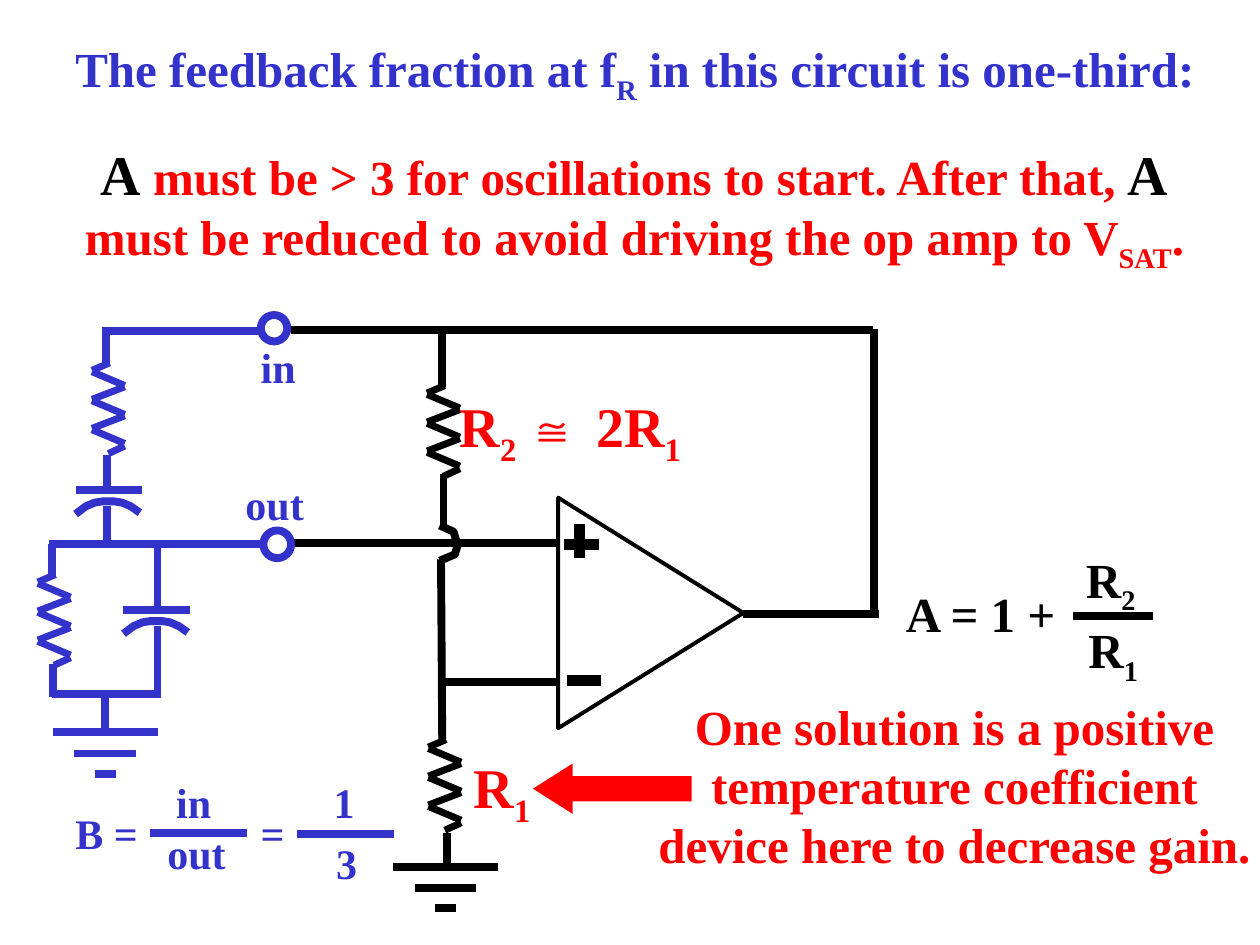
"""Build the slide on the feedback fraction of an oscillator circuit."""
from dataclasses import dataclass

from lxml.etree import SubElement
from pptx import Presentation
from pptx.dml.color import RGBColor
from pptx.enum.shapes import MSO_CONNECTOR, MSO_SHAPE as Shape
from pptx.enum.text import MSO_AUTO_SIZE as AutoSize, PP_ALIGN as Align
from pptx.oxml.ns import qn
from pptx.util import Pt

SCALE = 9144
BLACK, BLUE, RED = "000000", "3333CC", "FF0000"
WIRE, ZIGZAG, SIGN = 4.5, 4, 6


def color(value):
    return RGBColor.from_string(value)


@dataclass
class Run:
    text: str
    size: int = 0
    ink: str = ""
    font: str = "Times New Roman"
    subscript: bool = False


def sub(text):
    return Run(text, subscript=True)


@dataclass
class CircuitSlide:
    slide: object
    ink: str = BLACK
    size: int = 28

    def line(self, x1, y1, x2, y2, width=WIRE):
        ends = [value * SCALE for value in (x1, y1, x2, y2)]
        connector = self.slide.shapes.add_connector(MSO_CONNECTOR.STRAIGHT, *ends)
        connector.line.color.rgb = color(self.ink)
        connector.line.width = Pt(width)
        SubElement(connector._element.spPr, qn("a:effectLst"))

    def lines(self, segments):
        for segment in segments:
            self.line(*segment)

    def outline(self, shape, width):
        shape.shadow.inherit = False
        shape.fill.background()
        shape.line.color.rgb = color(self.ink)
        shape.line.width = Pt(width)

    def polyline(self, points):
        builder = self.slide.shapes.build_freeform(*points[0], scale=SCALE)
        builder.add_line_segments(points[1:], close=False)
        self.outline(builder.convert_to_shape(), WIRE)

    def shape(self, kind, left, top, width, height):
        box = [value * SCALE for value in (left, top, width, height)]
        return self.slide.shapes.add_shape(kind, *box)

    def terminal(self, left, top, diameter):
        self.outline(self.shape(Shape.OVAL, left, top, diameter, diameter), WIRE)

    def amplifier(self, left, top, width, height):
        triangle = self.shape(Shape.ISOSCELES_TRIANGLE, left, top, width, height)
        triangle.rotation = 90
        self.outline(triangle, 2.25)

    def arrow(self, left, top, width, height):
        arrow = self.shape(Shape.LEFT_ARROW, left, top, width, height)
        arrow.adjustments[1] = 0.79
        arrow.shadow.inherit = False
        arrow.fill.solid()
        arrow.fill.fore_color.rgb = color(self.ink)
        arrow.line.fill.background()

    def resistor(self, x, y):
        pitch = 23
        for turn in range(3):
            top = y + turn * pitch
            self.line(x + 27, top + 18, x + 1, top + 7, ZIGZAG)
        for turn in range(2):
            top = y + turn * pitch
            self.line(x + 1, top + 29, x + 27, top + 19, ZIGZAG)
        self.line(x + 1, y + 6, x + 15, y, ZIGZAG)
        self.line(x + 14, y + 72, x + 27, y + 66, ZIGZAG)

    def capacitor(self, x, y):
        self.line(x, y, x + 53, y)
        curve = [(0, 19), (8, 13), (15, 10), (21, 9), (31, 9), (37, 10), (44, 13), (51, 18)]
        self.polyline([(x + dx, y + dy) for dx, dy in curve])

    def ground(self, x, y):
        for inset, drop in ((0, 0), (17, 17), (33, 33)):
            self.line(x + inset, y + drop, x + 83 - inset, y + drop)

    def text(self, left, top, width, height, *paragraphs, align=Align.LEFT):
        box = [value * SCALE for value in (left, top, width, height)]
        frame = self.slide.shapes.add_textbox(*box).text_frame
        frame.word_wrap = False
        frame.auto_size = AutoSize.SHAPE_TO_FIT_TEXT
        for index, parts in enumerate(paragraphs):
            paragraph = frame.add_paragraph() if index else frame.paragraphs[0]
            paragraph.alignment = align
            for part in parts:
                run = paragraph.add_run()
                run.text = part.text
                run.font.name = part.font
                run.font.size = Pt(part.size or self.size)
                run.font.bold = True
                run.font.color.rgb = color(part.ink or self.ink)
                if part.subscript:
                    run.font._element.set("baseline", "-25000")


def draw_amplifier(circuit):
    circuit.ink = BLACK
    circuit.amplifier(425, 413, 183, 147)
    circuit.lines([
        (590, 487, 698, 487), (443, 541, 349, 541), (350, 444, 351, 589),
        (694, 261, 694, 489), (443, 431, 233, 431), (231, 262, 693, 262),
        (355, 661, 355, 688), (351, 307, 351, 264), (352, 376, 352, 420),
        (450, 540, 477, 540, SIGN), (448, 432, 475, 432, SIGN), (460, 443, 460, 416, SIGN),
    ])
    circuit.resistor(339, 587)
    circuit.resistor(338, 306)
    circuit.ground(312, 688)
    circuit.polyline([(364, 430), (361, 440), (349, 445)])
    circuit.polyline([(363, 432), (360, 422), (349, 417)])


def draw_feedback(circuit):
    circuit.ink = BLUE
    circuit.resistor(29, 456)
    circuit.resistor(72, 288)
    circuit.capacitor(60, 389)
    circuit.capacitor(98, 484)
    circuit.ground(42, 581)
    circuit.terminal(207, 250, 21)
    circuit.terminal(209, 421, 22)
    circuit.lines([
        (205, 263, 81, 263), (84, 264, 84, 290), (41, 432, 41, 459), (85, 361, 85, 388),
        (42, 527, 42, 553), (125, 497, 125, 554), (125, 433, 125, 482), (85, 402, 85, 429),
        (39, 432, 209, 432), (83, 552, 83, 579), (41, 551, 125, 551),
    ])


def write_labels(circuit):
    circuit.ink, circuit.size = BLUE, 24
    for left, top, width, label in (
        (197, 266, 48, "in"), (185, 375, 66, "out"), (50, 636, 78, "B ="),
        (130, 611, 48, "in"), (123, 652, 66, "out"), (197, 636, 47, "="),
        (255, 611, 36, "1"), (257, 660, 36, "3"),
    ):
        circuit.text(left, top, width, 50, [Run(label)])
    circuit.lines([(119, 661, 196, 661), (236, 662, 313, 662)])

    circuit.ink, circuit.size = RED, 32
    circuit.text(355, 306, 201, 71,
                 [Run("R"), sub("2 "), Run("≅ ", font="Arial"), Run("2R"), sub("1")])
    circuit.text(366, 592, 65, 71, [Run("R"), sub("1")])

    circuit.ink, circuit.size = BLACK, 28
    circuit.text(709, 458, 141, 57, [Run("A = 1 +")])
    circuit.text(852, 431, 59, 63, [Run("R"), sub("2")])
    circuit.text(854, 487, 59, 63, [Run("R"), sub("1")])
    circuit.line(852, 489, 915, 489)


def write_statements(circuit):
    circuit.ink, circuit.size = BLUE, 28
    circuit.text(50, 26, 909, 63, [
        Run("The feedback fraction at f"), sub("R"), Run(" in this circuit is one-third:")])
    circuit.ink = RED
    gain = Run("A", 32, BLACK)
    circuit.text(
        56, 106, 895, 117,
        [gain, Run(" must be > 3 for oscillations to start. After that, "), gain],
        [Run("must be reduced to avoid driving the op amp to V"), sub("SAT"), Run(".")],
        align=Align.CENTER)
    circuit.arrow(423, 606, 126, 40)
    circuit.text(
        512, 548, 491, 150, [Run("One solution is a positive")],
        [Run("temperature coefficient")], [Run("device here to decrease gain.")],
        align=Align.CENTER)


def main():
    presentation = Presentation()
    presentation.slide_width, presentation.slide_height = 1000 * SCALE, 750 * SCALE
    circuit = CircuitSlide(presentation.slides.add_slide(presentation.slide_layouts[6]))
    draw_amplifier(circuit)
    draw_feedback(circuit)
    write_labels(circuit)
    write_statements(circuit)
    presentation.save("out.pptx")


if __name__ == "__main__":
    main()
